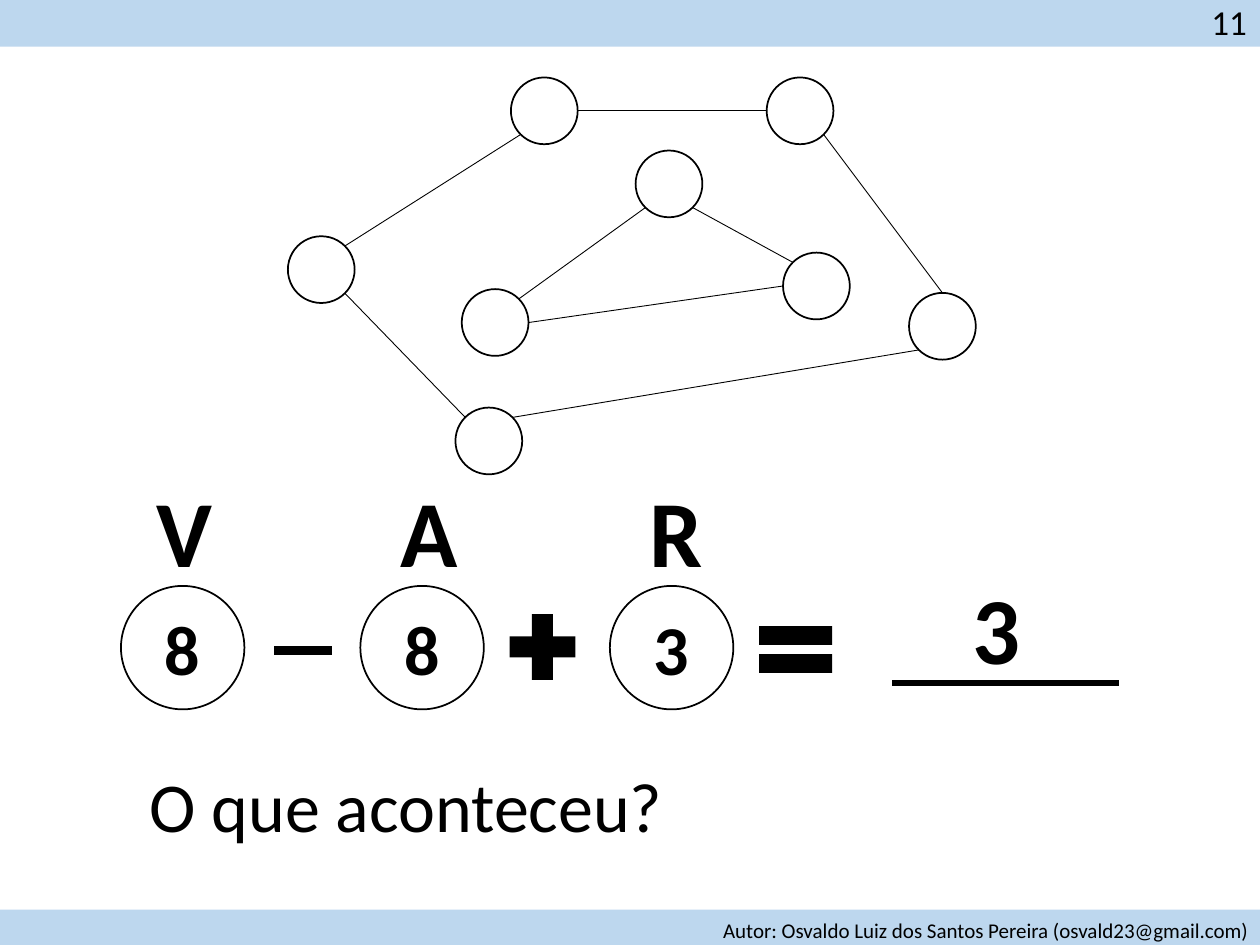
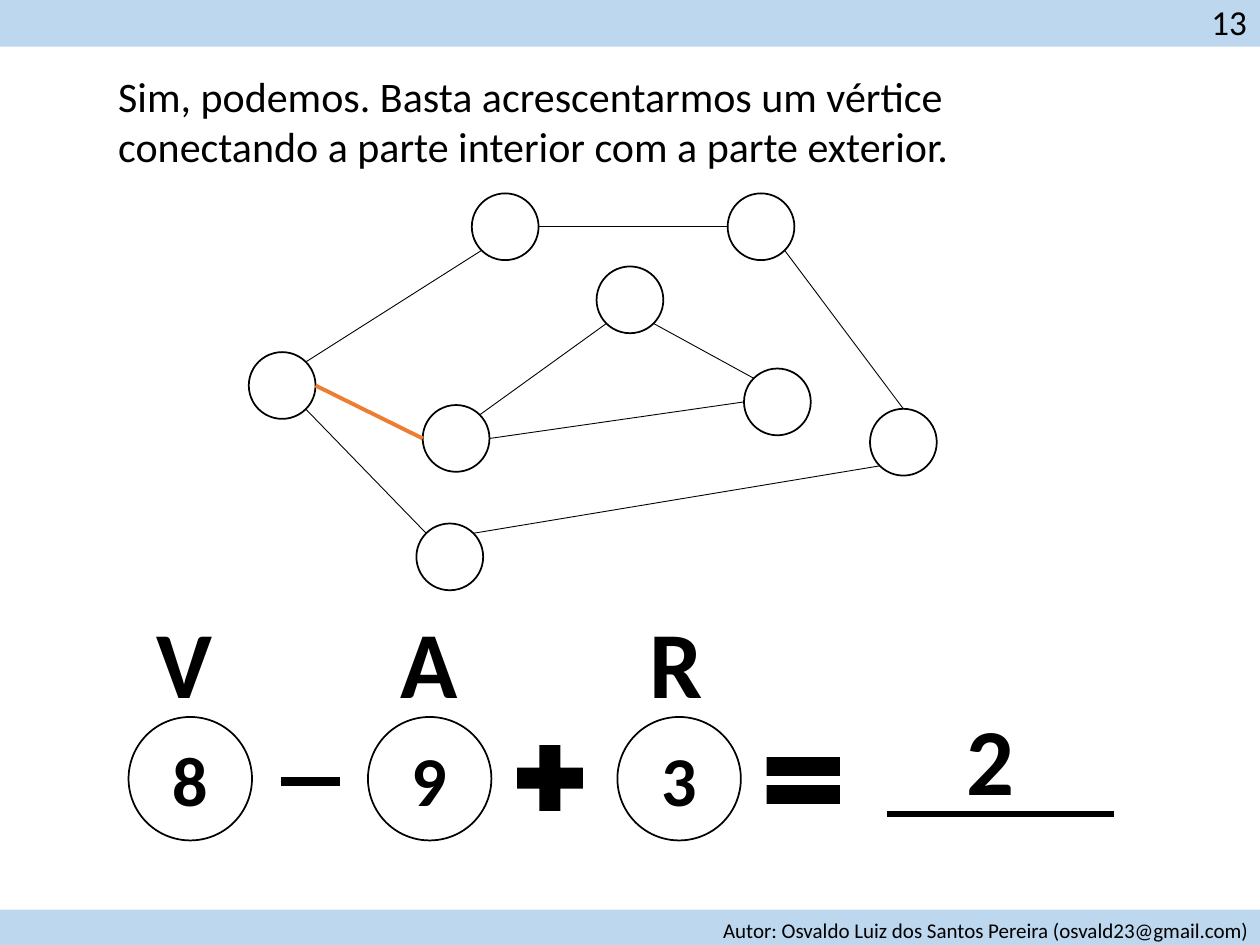
from math import cos, radians, sin

from lxml.etree import SubElement
from pptx import Presentation
from pptx.dml.color import RGBColor
from pptx.enum.shapes import MSO_CONNECTOR, MSO_SHAPE as Preset
from pptx.enum.text import MSO_ANCHOR as Anchor, PP_ALIGN as Align
from pptx.oxml.ns import qn
from pptx.util import Inches, Pt

COLOURS = {"ink": "000000", "band": "BDD7EE", "new_edge": "ED7D31"}
FONT = "Calibri"
AUTHOR = "Autor: Osvaldo Luiz dos Santos Pereira (osvald23@gmail.com)"

VERTEX_SIZE = 0.53
COUNT_SIZE = 0.98

# Vertex centres, relative to the graph origin of each slide
VERTICES = {
    "top_left": (4.32, 0.88),
    "top_right": (6.35, 0.88),
    "left": (2.55, 2.14),
    "right": (7.48, 2.59),
    "bottom": (3.88, 3.5),
    "inner_top": (5.31, 1.46),
    "inner_left": (3.93, 2.56),
    "inner_right": (6.48, 2.27),
}
# Each edge leaves and enters a vertex at an angle, in degrees clockwise from east
EDGES = [
    ("left", 315, "top_left", 135),
    ("right", 270, "top_right", 45),
    ("left", 45, "bottom", 225),
    ("bottom", 315, "right", 135),
    ("top_left", 0, "top_right", 180),
    ("inner_left", 315, "inner_top", 135),
    ("inner_right", 225, "inner_top", 45),
    ("inner_left", 0, "inner_right", 180),
]
CONNECTING_EDGE = ("left", 0, "inner_left", 180)

COUNT_LEFTS = [0.96, 2.86, 4.84]
LABELS = [("V", 1.03), ("A", 2.97), ("R", 4.93)]
# Preset, left, offset below the counts' top, width, height
OPERATORS = [
    (Preset.MATH_MINUS, 2.09, 0.36, 0.63, 0.31),
    (Preset.MATH_PLUS, 3.95, 0.13, 0.71, 0.71),
    (Preset.MATH_EQUAL, 5.92, 0.19, 0.79, 0.63),
]

SLIDES = [
    {
        "number": "11",
        "graph_at": (0, 0),
        "extra_edges": [],
        "counts": ["8", "8", "3"],
        "formula_shift": 0,
        "formula_top": 4.65,
        "answer": "3",
        "answer_left": 7.08,
        "sentence": ("O que aconteceu?", 40, (1.09, 6, 7.87, 0.77)),
    },
    {
        "number": "13",
        "graph_at": (-0.31, 0.92),
        "extra_edges": [CONNECTING_EDGE],
        "counts": ["8", "9", "3"],
        "formula_shift": 0.06,
        "formula_top": 5.69,
        "answer": "2",
        "answer_left": 7.04,
        "sentence": (
            "Sim, podemos. Basta acrescentarmos um vértice "
            "conectando a parte interior com a parte exterior.",
            24,
            (0.84, 0.51, 8.36, 0.91),
        ),
    },
]


def add_preset(slide, preset, box, fill=None):
    """Add a filled shape, or an outlined one when no fill is given."""
    shape = slide.shapes.add_shape(preset, *map(Inches, box))
    shape.shadow.inherit = False
    if fill:
        shape.fill.solid()
        shape.fill.fore_color.rgb = RGBColor.from_string(COLOURS[fill])
        shape.line.fill.background()
    else:
        shape.fill.background()
        shape.line.color.rgb = RGBColor.from_string(COLOURS["ink"])
        shape.line.width = Pt(1)
    return shape


def write(shape, text, size, bold=False, centred=True):
    frame = shape.text_frame
    frame.word_wrap = True
    frame.vertical_anchor = Anchor.MIDDLE if centred else Anchor.TOP
    paragraph = frame.paragraphs[0]
    paragraph.alignment = Align.CENTER if centred else Align.LEFT
    run = paragraph.add_run()
    run.text = text
    run.font.name = FONT
    run.font.size = Pt(size)
    run.font.bold = bold
    run.font.color.rgb = RGBColor.from_string(COLOURS["ink"])


presentation = Presentation()
presentation.slide_width = Inches(10)
presentation.slide_height = Inches(7.5)
blank_layout = presentation.slide_layouts[6]

for content in SLIDES:
    slide = presentation.slides.add_slide(blank_layout)
    radius = VERTEX_SIZE / 2
    graph_left, graph_top = content["graph_at"]
    formula_shift, formula_top = content["formula_shift"], content["formula_top"]

    # Graph vertices
    for x, y in VERTICES.values():
        box = (graph_left + x - radius, graph_top + y - radius, VERTEX_SIZE, VERTEX_SIZE)
        add_preset(slide, Preset.OVAL, box)

    # Graph edges and the rule under the answer
    lines = []
    for edge in EDGES + content["extra_edges"]:
        ends = []
        for vertex, angle in (edge[:2], edge[2:]):
            x, y = VERTICES[vertex]
            ends.append(graph_left + x + radius * cos(radians(angle)))
            ends.append(graph_top + y + radius * sin(radians(angle)))
        style = ("new_edge", 2.25) if edge is CONNECTING_EDGE else ("ink", 0.5)
        lines.append((ends, *style))
    answer_left = content["answer_left"]
    rule_y = formula_top + 0.77
    lines.append(((answer_left + 1.8, rule_y, answer_left, rule_y), "ink", 3))

    for ends, colour, width in lines:
        line = slide.shapes.add_connector(MSO_CONNECTOR.STRAIGHT, *map(Inches, ends))
        line.line.color.rgb = RGBColor.from_string(COLOURS[colour])
        line.line.width = Pt(width)
        SubElement(line._element.spPr, qn("a:effectLst"))

    # Formula: V - A + R =
    for left, count in zip(COUNT_LEFTS, content["counts"]):
        box = (left + formula_shift, formula_top, COUNT_SIZE, COUNT_SIZE)
        write(add_preset(slide, Preset.OVAL, box), count, 40, bold=True)
    for preset, left, offset, width, height in OPERATORS:
        box = (left + formula_shift, formula_top + offset, width, height)
        add_preset(slide, preset, box, "ink")

    letters = [(text, left, formula_top - 0.95) for text, left in LABELS]
    letters.append((content["answer"], answer_left + 0.39, formula_top - 0.18))
    for text, left, top in letters:
        box = slide.shapes.add_textbox(*map(Inches, (left, top, 0.87, 1.01)))
        write(box, text, 54, bold=True)

    sentence, size, sentence_box = content["sentence"]
    box = slide.shapes.add_textbox(*map(Inches, sentence_box))
    write(box, sentence, size, centred=False)

    # Footer and header bands
    add_preset(slide, Preset.RECTANGLE, (0, 7.22, 10, 0.28), "band")
    author = slide.shapes.add_textbox(*map(Inches, (5.64, 7.23, 4.42, 0.3)))
    write(author, AUTHOR, 12, centred=False)
    add_preset(slide, Preset.RECTANGLE, (0, 0, 10, 0.37), "band")
    number = slide.shapes.add_textbox(*map(Inches, (9.51, -0.05, 0.49, 0.44)))
    write(number, content["number"], 20)

presentation.save("out.pptx")
